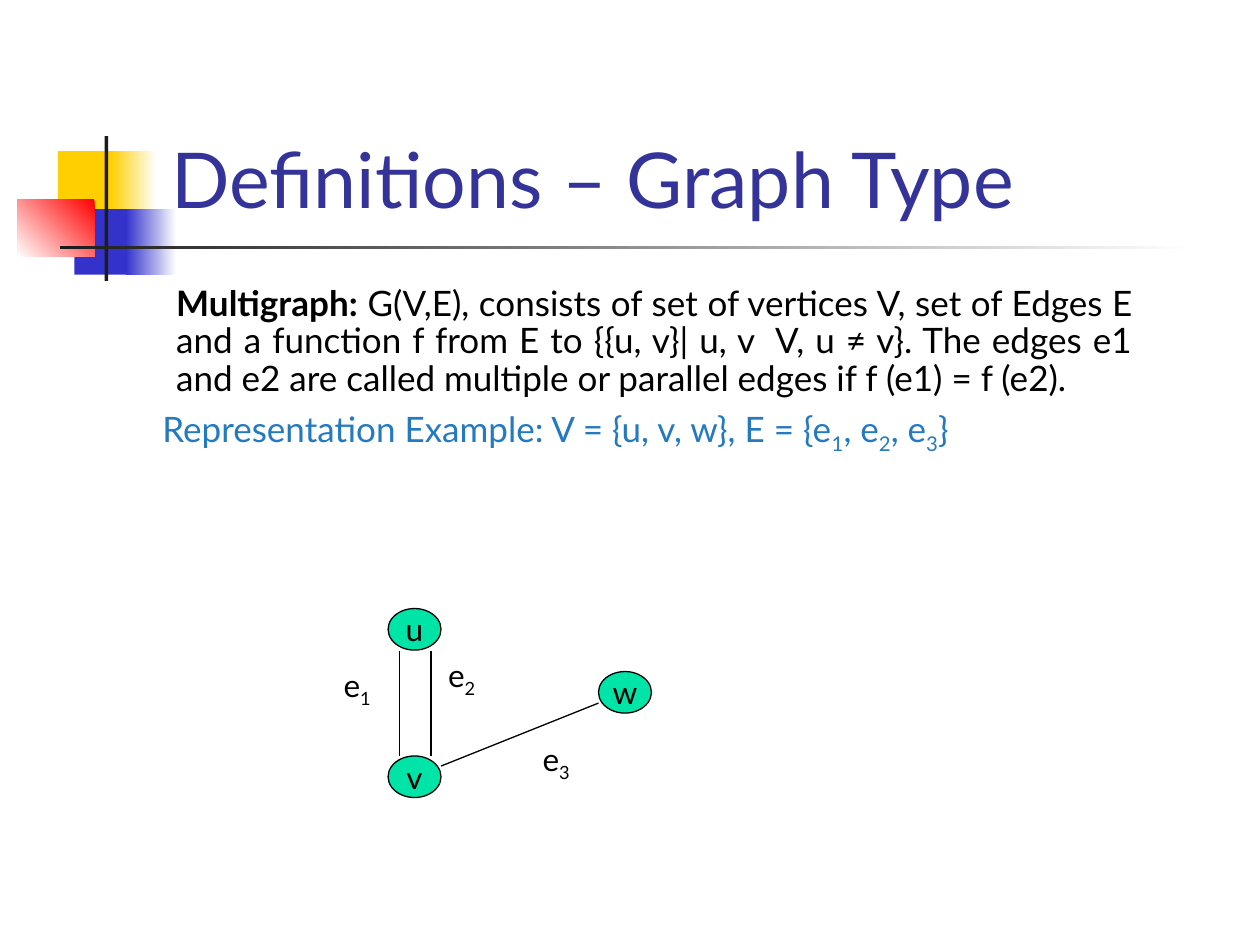
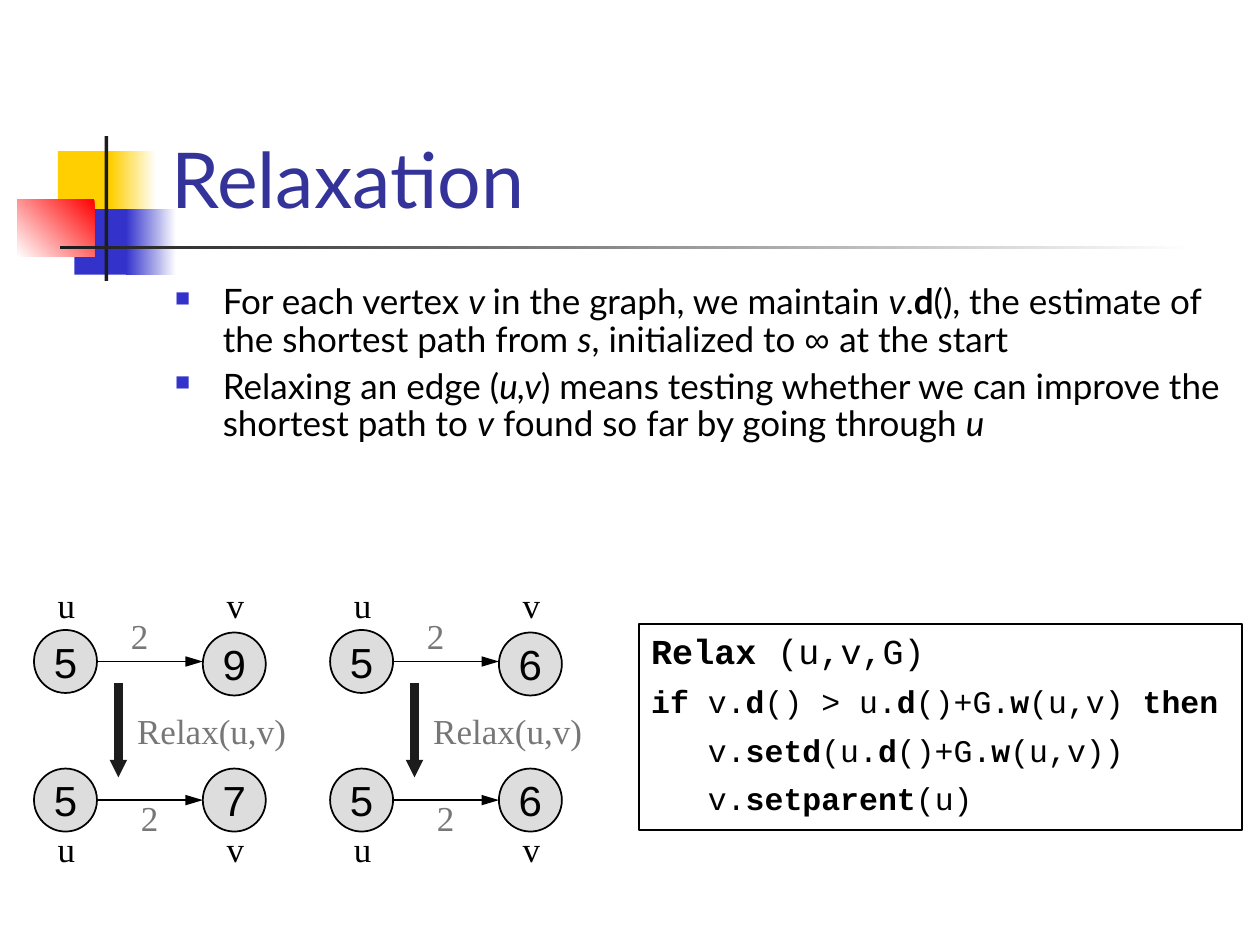
from dataclasses import dataclass

import lxml.etree
import pptx
import pptx.dml.color
import pptx.enum.dml
import pptx.enum.shapes
import pptx.enum.text
import pptx.oxml.ns
import pptx.util

Inches, Pt = pptx.util.Inches, pptx.util.Pt
SHAPE = pptx.enum.shapes.MSO_SHAPE
ALIGN = pptx.enum.text.PP_ALIGN
ANCHOR = pptx.enum.text.MSO_ANCHOR
qn = pptx.oxml.ns.qn


@dataclass(frozen=True)
class Theme:
    title: str = "333399"
    ink: str = "000000"
    white: str = "FFFFFF"
    example: str = "237AC1"
    vertex: str = "00E4A8"
    node: str = "DDDDDD"
    weight: str = "777777"
    dark: str = "1C1C1C"
    yellow: str = "FFCF01"
    blue: str = "3333CC"
    red: str = "FF0000"
    sans: str = "Lato"
    symbol: str = "Arial"
    serif: str = "Times New Roman"
    mono: str = "Courier New"
    title_size: int = 44
    node_size: int = 24
    body_size: int = 20
    small_size: int = 18


THEME = Theme()

# Band: left, top, width, height, colour stops, clockwise angle
BAND = [
    (0.46, 1.2, 0.48, 0.52, [THEME.yellow], 0),
    (0.88, 1.2, 0.36, 0.52, [THEME.white, THEME.yellow], 180),
    (0.59, 1.66, 0.46, 0.52, [THEME.blue], 0),
    (1, 1.66, 0.4, 0.52, [THEME.white, THEME.blue], 180),
    (0.14, 1.58, 0.61, 0.46, [THEME.red, THEME.white], 135),
    (0.83, 1.08, 0.03, 1.15, [THEME.dark], 0),
    (0.48, 1.95, 9, 0.03, [THEME.white, THEME.dark], 180),
]

# Runs are (text, marks): b bold, i italic, s subscript, y symbol font
MULTIGRAPH = [
    ("Multigraph:", "b"),
    (" G(V,E), consists of set of vertices V, set of Edges E and a function f "
     "from E to {{u, v}| u, v  V, u ≠ v}. The edges e1 and e2 are called "
     "multiple or parallel edges if f (e1) = f (e2).", ""),
]
EXAMPLE = [
    ("Representation Example: V = {u, v, w}, E = {e", ""), ("1", "s"),
    (", e", ""), ("2", "s"), (", e", ""), ("3", "s"), ("}", ""),
]
VERTICES = {"u": (3.08, 4.83), "v": (3.08, 6), "w": (4.75, 5.33)}
EDGES = [(3.5, 6.08, 4.75, 5.58), (3.17, 5.17, 3.17, 6), (3.42, 5.17, 3.42, 6)]
EDGE_LABELS = {"1": (2.67, 5.33), "2": (3.5, 5.25), "3": (4.25, 5.92)}

RELAXATION = [
    [("For each vertex ", ""), ("v ", "i"), ("in the graph, we maintain ", ""),
     ("v", "i"), (".", ""), ("d", "b"),
     ("(), the estimate of the shortest path from ", ""), ("s", "i"),
     (", initialized to ", ""), ("∞ ", "y"), ("at the start", "")],
    [("Relaxing an edge (", ""), ("u,v", "i"),
     (") means testing whether we can improve the shortest path to ", ""),
     ("v", "i"), (" found so far by going through ", ""), ("u", "i")],
]
# Estimates of u and v before and after relaxing
RELAX_CASES = [(("5", "9"), ("5", "7")), (("5", "6"), ("5", "6"))]
CASE_LEFT, CASE_STEP = 0.27, 2.35
NODE_STEP, NODE_SIZE = 1.34, 0.5
RELAX_CODE = [
    [("Relax ", "b"), ("(u,v,G)", "")],
    [("if ", "b"), ("v.", ""), ("d", "b"), ("() > u.", ""), ("d", "b"),
     ("()+G.", ""), ("w", "b"), ("(u,v) ", ""), ("then", "b")],
    [("   v.", ""), ("setd", "b"), ("(u.", ""), ("d", "b"), ("()+G.", ""),
     ("w", "b"), ("(u,v))", "")],
    [("   v.", ""), ("setparent", "b"), ("(u)", "")],
]


def rgb(colour):
    return pptx.dml.color.RGBColor.from_string(colour)


def inches(*lengths):
    return [Inches(length) for length in lengths]


def add_runs(paragraph, runs, size, font=THEME.sans, colour=THEME.ink):
    for text, marks in runs:
        run = paragraph.add_run()
        run.text = text
        run.font.size = Pt(size)
        run.font.name = THEME.symbol if "y" in marks else font
        run.font.color.rgb = rgb(colour)
        run.font.bold = "b" in marks
        run.font.italic = "i" in marks
        if "s" in marks:
            run.font._element.set("baseline", "-25000")


def next_paragraph(frame, space_before):
    """Return the empty first paragraph, or a new one set off by space_before."""
    if not frame.paragraphs[0].runs:
        return frame.paragraphs[0]
    paragraph = frame.add_paragraph()
    paragraph.space_before = Pt(space_before)
    return paragraph


def indent(paragraph, left, first):
    properties = paragraph._p.get_or_add_pPr()
    properties.set("marL", str(Inches(left)))
    properties.set("indent", str(Inches(first)))
    return properties


def add_bullet(paragraph):
    properties = indent(paragraph, 0.38, -0.38)
    colour = lxml.etree.SubElement(properties, qn("a:buClr"))
    lxml.etree.SubElement(colour, qn("a:srgbClr"), val=THEME.blue)
    lxml.etree.SubElement(properties, qn("a:buSzPct"), val="60000")
    lxml.etree.SubElement(properties, qn("a:buChar"), char="■")


def add_text_box(slide, left, top, width, height):
    frame = slide.shapes.add_textbox(*inches(left, top, width, height)).text_frame
    frame.word_wrap = True
    return frame


def add_shape(slide, kind, box, fill=None, line=None, line_width=1):
    shape = slide.shapes.add_shape(kind, *inches(*box))
    shape.shadow.inherit = False
    if fill:
        shape.fill.solid()
        shape.fill.fore_color.rgb = rgb(fill)
    else:
        shape.fill.background()
    if line:
        shape.line.color.rgb = rgb(line)
        shape.line.width = Pt(line_width)
    else:
        shape.line.fill.background()
    return shape


def add_centred_shape(slide, kind, box, runs, size, font, fill, line, line_width):
    shape = add_shape(slide, kind, box, fill, line, line_width)
    frame = shape.text_frame
    frame.word_wrap = False
    frame.vertical_anchor = ANCHOR.MIDDLE
    frame.paragraphs[0].alignment = ALIGN.CENTER
    add_runs(frame.paragraphs[0], runs, size, font)


def add_line(slide, ends, colour, width, head=None):
    """head is the (width, length) of the arrowhead at the end."""
    line = slide.shapes.add_connector(
        pptx.enum.shapes.MSO_CONNECTOR.STRAIGHT, *inches(*ends))
    line.line.color.rgb = rgb(colour)
    line.line.width = Pt(width)
    if head:
        lxml.etree.SubElement(line.line._get_or_add_ln(), qn("a:tailEnd"),
                              type="triangle", w=head[0], len=head[1])
    lxml.etree.SubElement(line._element.spPr, qn("a:effectLst"))


def move_band_to_layout(slide, layout):
    """Draw the band on the slide, then hand its shapes to the layout."""
    for number, (*box, colours, angle) in enumerate(BAND):
        shape = add_shape(slide, SHAPE.RECTANGLE, box, colours[0])
        if len(colours) > 1:
            shape.fill.gradient()
            shape.fill.gradient_angle = 360 - angle
            for stop, colour in zip(shape.fill.gradient_stops, colours):
                stop.color.rgb = rgb(colour)
        shape.element.nvSpPr.cNvPr.set("id", str(20 + number))
        layout.shapes.element.append(shape.element)


def add_titled_slide(presentation, text):
    slide = presentation.slides.add_slide(presentation.slide_layouts[5])
    title = slide.shapes.title
    title.left, title.top, title.width, title.height = inches(1.26, 0.23, 8.52, 1.6)
    frame = title.text_frame
    frame.auto_size = pptx.enum.text.MSO_AUTO_SIZE.NONE
    frame.vertical_anchor = ANCHOR.BOTTOM
    frame.paragraphs[0].alignment = ALIGN.LEFT
    add_runs(frame.paragraphs[0], [(text, "")], THEME.title_size, colour=THEME.title)
    return slide


def build_graph_type(slide):
    frame = add_text_box(slide, 0.92, 2.22, 8.17, 2.25)
    for runs, first, colour in [(MULTIGRAPH, 0, THEME.ink),
                                (EXAMPLE, -0.11, THEME.example)]:
        paragraph = next_paragraph(frame, 5)
        paragraph.alignment = ALIGN.JUSTIFY
        paragraph.line_spacing = 0.9
        indent(paragraph, 0.38, first)
        add_runs(paragraph, runs, THEME.body_size, colour=colour)

    for name, (left, top) in VERTICES.items():
        add_centred_shape(slide, SHAPE.OVAL, (left, top, 0.42, 0.33), [(name, "")],
                          THEME.small_size, THEME.sans, THEME.vertex, THEME.ink, 0.75)
    for ends in EDGES:
        add_line(slide, ends, THEME.ink, 0.75)
    for number, (left, top) in EDGE_LABELS.items():
        add_centred_shape(slide, SHAPE.RECTANGLE, (left, top, 0.33, 0.25),
                          [("e", ""), (number, "s")], THEME.small_size,
                          THEME.sans, THEME.white, THEME.white, 0.75)


def add_label(slide, box, text, colour):
    frame = add_text_box(slide, *box)
    add_runs(frame.paragraphs[0], [(text, "")], THEME.body_size, THEME.serif, colour)


def add_relax_case(slide, left, before, after):
    rows = [(before, (5, 5.02), 5.25, 4.58, (0.67, 4.83)),
            (after, (6.1, 6.1), 6.35, 6.52, (0.75, 6.27))]
    for values, node_tops, edge_y, name_top, (weight_x, weight_top) in rows:
        add_line(slide, (left + NODE_SIZE, edge_y, left + NODE_STEP, edge_y),
                 THEME.ink, 1, ("med", "lg"))
        add_label(slide, (left + weight_x, weight_top, 0.5, 0.44), "2", THEME.weight)
        for column, (name, value, top) in enumerate(zip("uv", values, node_tops)):
            node_left = left + column * NODE_STEP
            add_centred_shape(slide, SHAPE.OVAL,
                              (node_left, top, NODE_SIZE, NODE_SIZE), [(value, "")],
                              THEME.node_size, THEME.symbol, THEME.node, THEME.ink, 1)
            add_label(slide, (node_left + 0.09, name_top, 0.33, 0.44), name, THEME.ink)
    add_line(slide, (left + 0.67, 5.42, left + 0.67, 6.17), THEME.dark, 5, ("sm", "sm"))
    add_label(slide, (left + 0.72, 5.58, 1.5, 0.44), "Relax(u,v)", THEME.weight)


def build_relaxation(slide):
    frame = add_text_box(slide, 1.29, 2.21, 8.5, 2.66)
    for runs in RELAXATION:
        paragraph = next_paragraph(frame, 5)
        paragraph.line_spacing = 0.9
        add_bullet(paragraph)
        add_runs(paragraph, runs, THEME.body_size)

    for number, (before, after) in enumerate(RELAX_CASES):
        add_relax_case(slide, CASE_LEFT + number * CASE_STEP, before, after)

    code = add_shape(slide, SHAPE.RECTANGLE, (5.07, 4.95, 4.79, 1.64), line=THEME.ink)
    code.text_frame.vertical_anchor = ANCHOR.TOP
    for number, runs in enumerate(RELAX_CODE):
        paragraph = next_paragraph(code.text_frame, 6)
        paragraph.alignment = ALIGN.LEFT
        size = THEME.small_size if number else THEME.body_size
        add_runs(paragraph, runs, size, THEME.mono)


def main():
    presentation = pptx.Presentation()
    presentation.slide_width, presentation.slide_height = inches(10, 7.5)
    graph_type = add_titled_slide(presentation, "Definitions – Graph Type")
    move_band_to_layout(graph_type, presentation.slide_layouts[5])
    build_graph_type(graph_type)
    build_relaxation(add_titled_slide(presentation, "Relaxation"))
    presentation.save("out.pptx")


if __name__ == "__main__":
    main()
